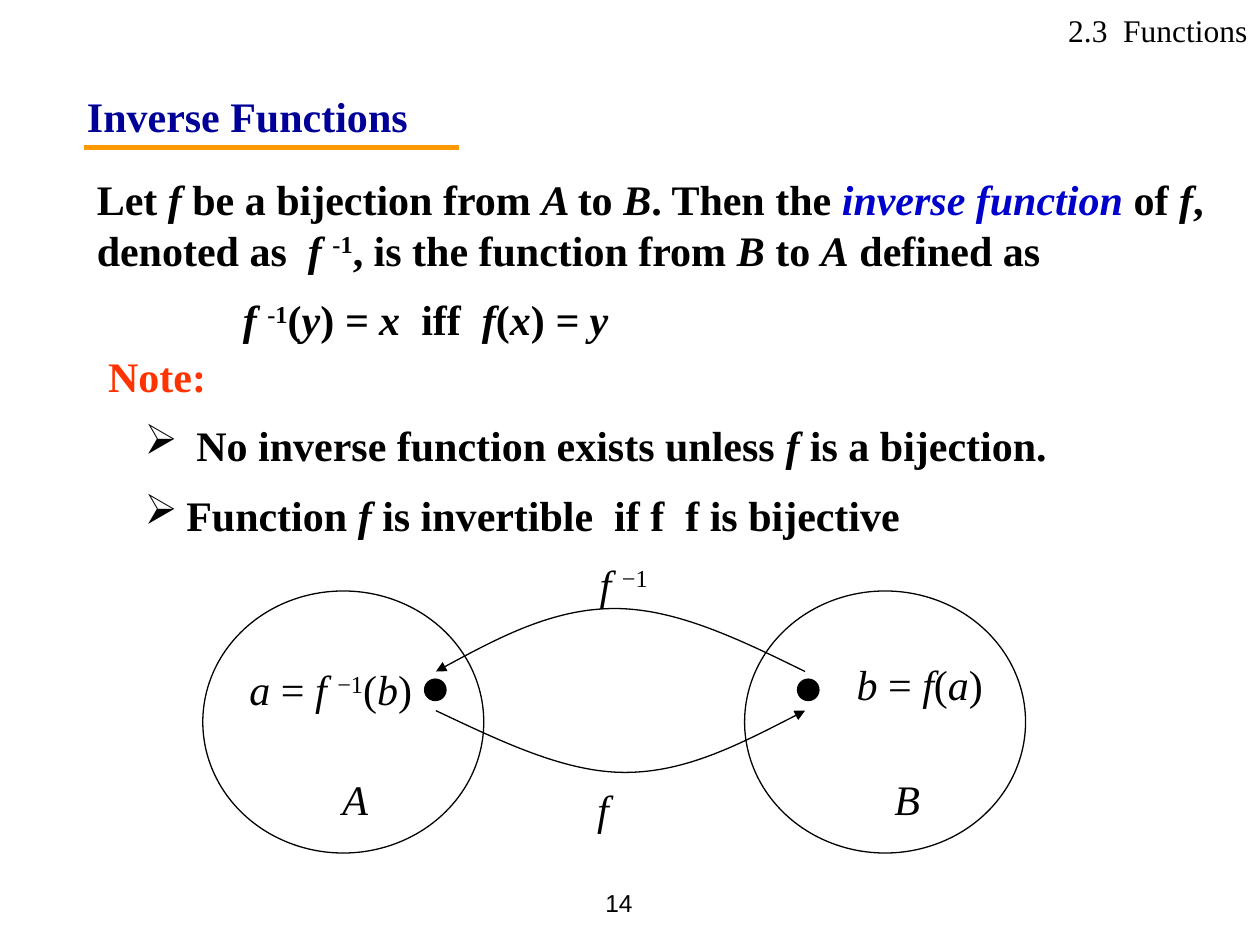
from dataclasses import dataclass

import lxml.etree
import pptx
import pptx.dml.color
import pptx.enum.shapes
import pptx.enum.text
import pptx.oxml
import pptx.oxml.ns
import pptx.util

Inches = pptx.util.Inches
Pt = pptx.util.Pt
Align = pptx.enum.text.PP_ALIGN
qn = pptx.oxml.ns.qn


@dataclass(frozen=True)
class Theme:
    serif: str = "Times New Roman"
    sans: str = "Arial"
    ink: str = "000000"
    heading: str = "000099"
    term: str = "0000CC"
    note: str = "FF3300"
    rule: str = "FF9900"
    body_size: float = 24
    chapter_size: float = 18
    number_size: float = 14
    thin: float = 0.75
    thick: float = 3


THEME = Theme()


@dataclass(frozen=True)
class Line:
    markup: str
    size: float = THEME.body_size
    font: str = THEME.serif
    color: str = THEME.ink
    bold: bool = False
    align: Align = Align.LEFT
    before: float = 0
    margin: float = 0
    indent: float = 0
    bullet: str = ""


@dataclass(frozen=True)
class Block:
    left: float
    top: float
    width: float
    height: float
    lines: tuple[Line, ...]
    wrap: bool = True


@dataclass(frozen=True)
class Oval:
    left: float
    top: float
    width: float
    height: float
    solid: bool = False


@dataclass(frozen=True)
class Arc:
    points: tuple[tuple[float, float], ...]


def rgb(color: str) -> pptx.dml.color.RGBColor:
    return pptx.dml.color.RGBColor.from_string(color)


def assign(target, values: dict) -> None:
    for name, value in values.items():
        setattr(target, name, value)


def split_markup(markup: str) -> list[tuple[str, bool, bool, bool]]:
    state = {"*": False, "^": False, "~": False}
    pieces, word = [], ""
    for char in markup + "*":
        if char not in state:
            word += char
            continue
        if word:
            pieces.append((word, *state.values()))
        word, state[char] = "", not state[char]
    return pieces


def write_line(paragraph, line: Line) -> None:
    assign(paragraph, {"alignment": line.align, "space_before": Pt(line.before),
                       "line_spacing": 1.0})
    properties = paragraph._p.get_or_add_pPr()
    properties.set("marL", str(Inches(line.margin)))
    properties.set("indent", str(Inches(line.indent)))
    if line.bullet:
        lxml.etree.SubElement(properties, qn("a:buChar")).set("char", line.bullet)
    for word, italic, raised, term in split_markup(line.markup):
        run = paragraph.add_run()
        run.text = word
        assign(run.font, {"name": line.font, "size": Pt(line.size),
                          "bold": line.bold, "italic": italic})
        run.font.color.rgb = rgb(THEME.term if term else line.color)
        if raised:
            run._r.get_or_add_rPr().set("baseline", "30000")


def write_block(shape, block: Block) -> None:
    assign(shape, {"left": Inches(block.left), "top": Inches(block.top),
                   "width": Inches(block.width), "height": Inches(block.height)})
    frame = shape.text_frame
    assign(frame, {"word_wrap": block.wrap,
                   "auto_size": pptx.enum.text.MSO_AUTO_SIZE.NONE,
                   "vertical_anchor": pptx.enum.text.MSO_ANCHOR.TOP,
                   "margin_left": Inches(0.1), "margin_right": Inches(0.1),
                   "margin_top": Inches(0.05), "margin_bottom": Inches(0.05)})
    for index, line in enumerate(block.lines):
        write_line(frame.add_paragraph() if index else frame.paragraphs[0], line)


def draw_oval(slide, oval: Oval) -> None:
    shape = slide.shapes.add_shape(
        pptx.enum.shapes.MSO_SHAPE.OVAL, Inches(oval.left), Inches(oval.top),
        Inches(oval.width), Inches(oval.height))
    if oval.solid:
        shape.fill.solid()
        shape.fill.fore_color.rgb = rgb(THEME.ink)
    else:
        shape.fill.background()
    outline(shape)


def outline(shape) -> None:
    shape.shadow.inherit = False
    shape.line.color.rgb = rgb(THEME.ink)
    shape.line.width = Pt(THEME.thin)


def draw_arc(slide, arc: Arc) -> None:
    start, *rest = [(Inches(x), Inches(y)) for x, y in arc.points]
    builder = slide.shapes.build_freeform(*start)
    builder.add_line_segments(rest, close=False)
    shape = builder.convert_to_shape()
    shape.fill.background()
    outline(shape)
    segments = list(shape._element.iter(qn("a:lnTo")))
    for first in range(0, len(segments), 3):
        curve = lxml.etree.Element(qn("a:cubicBezTo"))
        segments[first].addprevious(curve)
        for segment in segments[first:first + 3]:
            curve.append(segment[0])
            segment.getparent().remove(segment)
    tip = lxml.etree.SubElement(shape.line._get_or_add_ln(), qn("a:tailEnd"))
    tip.set("type", "triangle")


def draw_rule(slide, left: float, right: float, y: float) -> None:
    rule = slide.shapes.add_connector(
        pptx.enum.shapes.MSO_CONNECTOR.STRAIGHT,
        Inches(left), Inches(y), Inches(right), Inches(y))
    rule.line.color.rgb = rgb(THEME.rule)
    rule.line.width = Pt(THEME.thick)
    lxml.etree.SubElement(rule._element.spPr, qn("a:effectLst"))


def label(markup: str, left: float, top: float, width: float, wrap: bool = True) -> Block:
    return Block(left, top, width, 0.51, (Line(markup, align=Align.RIGHT),), wrap)


def point(markup: str, margin: float) -> Line:
    return Line(markup, bold=True, before=11, margin=margin,
                indent=0.29 - margin, bullet="➢")


HEADING = Block(0.59, 0.67, 5.32, 0.5, (
    Line("Inverse Functions", color=THEME.heading, bold=True),))

BLOCKS = (
    Block(4.45, 7.0, 0.67, 0.5, (
        Line("14", THEME.number_size, THEME.sans, align=Align.RIGHT),)),
    Block(0.67, 1.33, 9, 1.47, (
        Line("Let *f* be a bijection from *A *to *B*. Then the ~*inverse function *~of *f*, "
             "denoted as  *f *^-1^, is the function from *B* to *A* defined as", bold=True),
        Line("*f *^-1^(*y*)* = x  *iff * f*(*x*)* = y*", bold=True, before=11, margin=1.16))),
    Block(0.76, 2.73, 7.92, 1.64, (
        Line("Note:", color=THEME.note, bold=True),
        point("No inverse function exists unless *f* is a bijection.", 0.7),
        point("Function *f* is invertible  if f  f is bijective", 0.62))),
    Block(6, 0.04, 4, 0.4, (
        Line("2.3  Functions", THEME.chapter_size, align=Align.RIGHT),)),
    label("*f *^−1^", 4.63, 4.38, 0.61, wrap=False),
    label("*f*", 4.64, 6.17, 0.29, wrap=False),
    label("*a *= *f *^−1^(*b*)", 1.61, 5.22, 1.76),
    label("*b *= *f*(*a*)", 6.63, 5.18, 1.27),
    label("*A*", 2.47, 6.09, 0.55),
    label("*B*", 6.85, 6.09, 0.55),
)

SETS = tuple(Oval(left, 4.69, 2.23, 2.08) for left in (1.61, 5.91))
ELEMENTS = tuple(Oval(left, 5.39, 0.17, 0.17, solid=True) for left in (3.37, 6.33))
MAPPINGS = (
    Arc(((3.46, 5.64), (3.97, 5.88), (4.48, 6.13), (4.96, 6.13),
         (5.45, 6.13), (5.92, 5.88), (6.39, 5.64))),
    Arc(((6.39, 5.33), (5.88, 5.08), (5.37, 4.83), (4.88, 4.83),
         (4.39, 4.83), (3.92, 5.08), (3.46, 5.33))),
)

deck = pptx.Presentation()
assign(deck, {"slide_width": Inches(10), "slide_height": Inches(7.5)})
slide = deck.slides.add_slide(deck.slide_layouts[5])
write_block(slide.shapes.title, HEADING)
draw_rule(slide, 0.67, 3.64, 1.17)
for oval in SETS + ELEMENTS:
    draw_oval(slide, oval)
for mapping in MAPPINGS:
    draw_arc(slide, mapping)
for block in BLOCKS:
    write_block(slide.shapes.add_textbox(0, 0, 0, 0), block)
deck.save("out.pptx")
